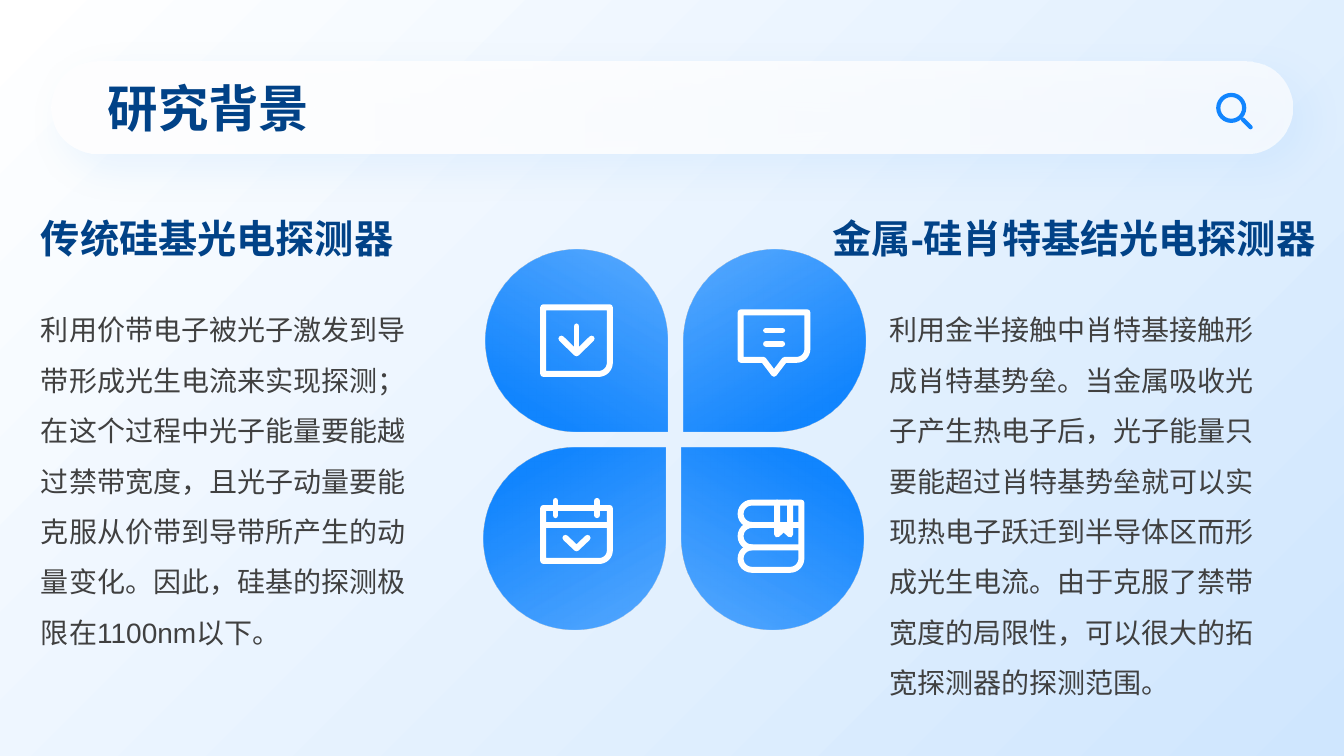
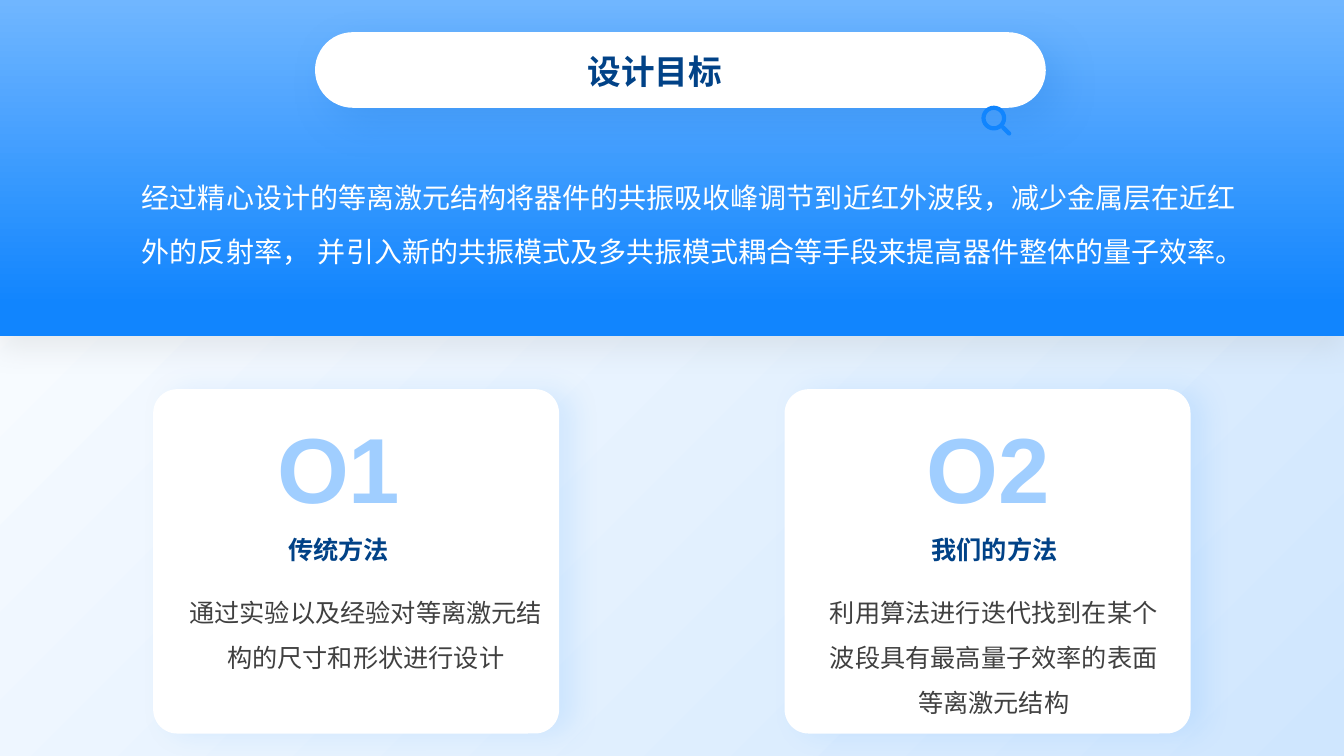
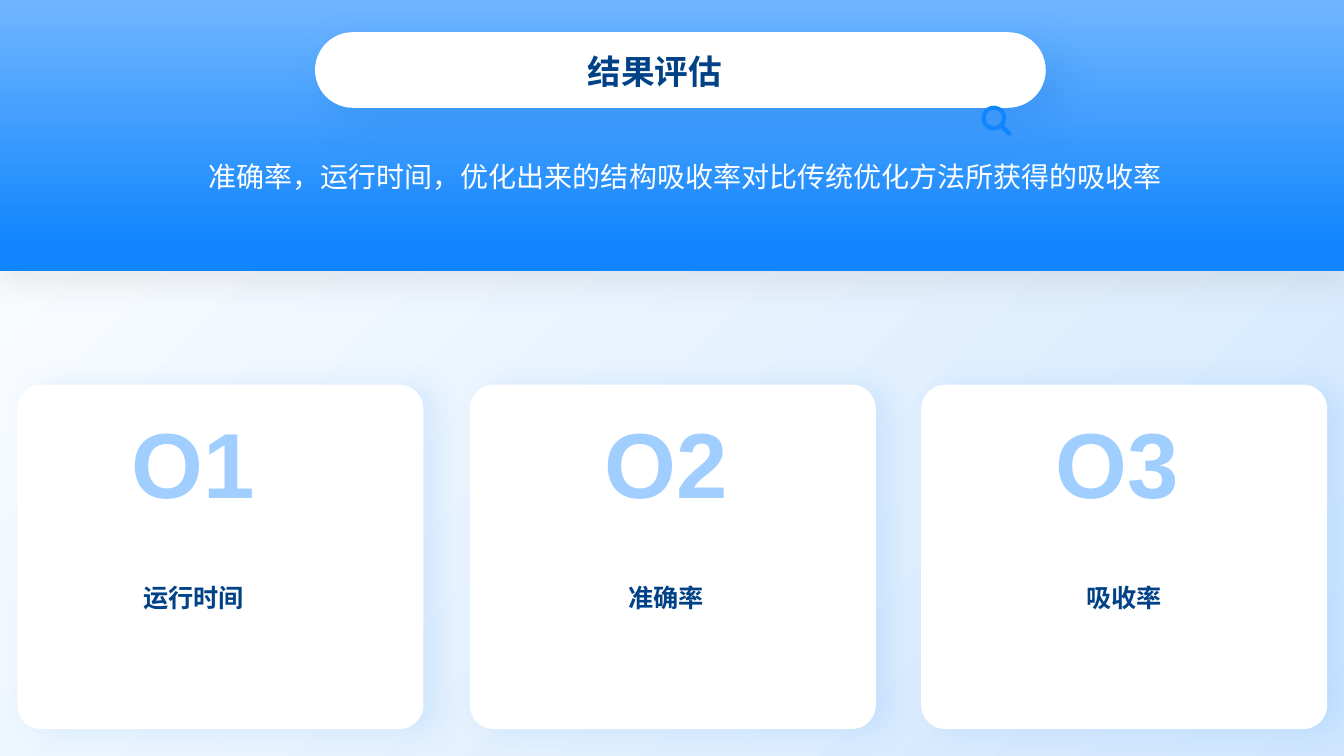
from dataclasses import dataclass
from math import cos, radians, sin

from lxml.etree import SubElement
from pptx import Presentation
from pptx.dml.color import RGBColor
from pptx.enum.lang import MSO_LANGUAGE_ID
from pptx.enum.shapes import MSO_CONNECTOR, MSO_SHAPE
from pptx.enum.text import MSO_ANCHOR, PP_ALIGN
from pptx.oxml.ns import qn
from pptx.util import Pt

# Shared look
PAGE_WIDTH, PAGE_HEIGHT = 960, 540
FONT = "Arial"
BLUE = RGBColor(0x11, 0x85, 0xFE)
NAVY = RGBColor(0x01, 0x42, 0x87)
DEEP_BLUE = RGBColor(0x01, 0x63, 0xCA)
SKY = RGBColor(0x70, 0xB6, 0xFF)
PALE = RGBColor(0xCF, 0xE6, 0xFE)
NUMBER_BLUE = RGBColor(0xA0, 0xCE, 0xFF)
NUMBER_PALE = RGBColor(0xCF, 0xE7, 0xFF)
WHITE = RGBColor(0xFF, 0xFF, 0xFF)
TEXT_GRAY = RGBColor(0x40, 0x40, 0x40)
SHADOW_GRAY = RGBColor(0xA6, 0xA6, 0xA6)

LEFT, CENTER = PP_ALIGN.LEFT, PP_ALIGN.CENTER
TOP, MIDDLE = MSO_ANCHOR.TOP, MSO_ANCHOR.MIDDLE
RECTANGLE, ROUNDED = MSO_SHAPE.RECTANGLE, MSO_SHAPE.ROUNDED_RECTANGLE
TEARDROP, OVAL = MSO_SHAPE.TEAR, MSO_SHAPE.OVAL
STRAIGHT = MSO_CONNECTOR.STRAIGHT
CHINESE = MSO_LANGUAGE_ID.SIMPLIFIED_CHINESE

Point = tuple[float, float]


@dataclass(frozen=True)
class Stop:
    position: int
    color: RGBColor
    alpha: int = 100


@dataclass(frozen=True)
class Shadow:
    color: RGBColor
    alpha: int
    blur: float
    distance: float
    angle: int


@dataclass(frozen=True)
class TextStyle:
    size: float
    color: RGBColor
    bold: bool = False
    align: PP_ALIGN = LEFT
    anchor: MSO_ANCHOR = TOP
    spacing: float = 1.0
    wrap: bool = True


@dataclass(frozen=True)
class Contour:
    points: list[Point]
    closed: bool = False


@dataclass(frozen=True)
class Petal:
    left: float
    top: float
    flips: tuple[str, ...]
    icon_left: float
    icon_top: float
    icon: list[Contour]


@dataclass(frozen=True)
class Column:
    heading: str
    heading_left: float
    heading_width: float
    body: str
    body_left: float


@dataclass(frozen=True)
class Card:
    number: str
    title: str
    left: float
    number_center: float
    title_center: float
    body: str = ""
    body_left: float = 0
    body_width: float = 0


PAGE_STOPS = [Stop(0, WHITE), Stop(100, PALE)]
PETAL_STOPS = [Stop(0, BLUE, 66), Stop(84, BLUE)]
BAR_STOPS = [Stop(0, WHITE, 72), Stop(100, WHITE)]
BAND_STOPS = [Stop(9, BLUE), Stop(100, SKY)]
NUMBER_STOPS = [Stop(0, BLUE), Stop(74, NUMBER_BLUE), Stop(83, NUMBER_BLUE),
                Stop(100, NUMBER_PALE)]

BAR_SHADOW = Shadow(BLUE, 7, 29, 13, 45)
PILL_SHADOW = Shadow(DEEP_BLUE, 16, 29, 13, 45)
BAND_SHADOW = Shadow(SHADOW_GRAY, 20, 20, 10, 90)
CARD_SHADOW = Shadow(BLUE, 10, 20, 10, 0)

BAR_TITLE = TextStyle(36, NAVY, bold=True, anchor=MIDDLE)
PILL_TITLE = TextStyle(24, NAVY, bold=True, align=CENTER, anchor=MIDDLE)
HEADING = TextStyle(28, NAVY, bold=True)
BODY = TextStyle(20, TEXT_GRAY, spacing=1.5)
LEAD = TextStyle(20, WHITE, spacing=1.6)
NUMBER = TextStyle(66, NUMBER_BLUE, bold=True, align=CENTER, wrap=False)
CARD_TITLE = TextStyle(18, NAVY, bold=True, align=CENTER, anchor=MIDDLE)
CARD_BODY = TextStyle(18, TEXT_GRAY, align=CENTER, spacing=1.5)


# Formatting helpers
def add_color(parent, color: RGBColor, alpha: int) -> None:
    node = SubElement(parent, qn("a:srgbClr"), val=str(color))
    if alpha < 100:
        SubElement(node, qn("a:alpha"), val=str(alpha * 1000))


def set_gradient(fill, holder, stops: list[Stop], angle: int) -> None:
    """Give fill, kept in the element holder, a gradient at a clockwise angle."""
    fill.gradient()
    fill.gradient_angle = 360 - angle
    stop_list = holder.find(qn("a:gradFill")).find(qn("a:gsLst"))
    stop_list.clear()
    for stop in stops:
        node = SubElement(stop_list, qn("a:gs"), pos=str(stop.position * 1000))
        add_color(node, stop.color, stop.alpha)


def set_shadow(shape, shadow: Shadow) -> None:
    effects = shape.element.spPr.find(qn("a:effectLst"))
    node = SubElement(effects, qn("a:outerShdw"), blurRad=str(Pt(shadow.blur)),
                      dist=str(Pt(shadow.distance)), dir=str(shadow.angle * 60000),
                      algn="ctr", rotWithShape="0")
    add_color(node, shadow.color, shadow.alpha)


def set_round_stroke(shape, color: RGBColor, width: float) -> None:
    shape.line.color.rgb = color
    shape.line.width = Pt(width)
    stroke = shape.element.spPr.find(qn("a:ln"))
    stroke.set("cap", "rnd")
    SubElement(stroke, qn("a:round"))


def add_panel(page, kind, left: float, top: float, width: float, height: float,
              shadow: Shadow | None = None, corner: float | None = None):
    """Add a white preset shape without outline."""
    panel = page.shapes.add_shape(kind, Pt(left), Pt(top), Pt(width), Pt(height))
    panel.shadow.inherit = False
    panel.fill.solid()
    panel.fill.fore_color.rgb = WHITE
    panel.line.fill.background()
    if corner is not None:
        panel.adjustments[0] = corner
    if shadow:
        set_shadow(panel, shadow)
    return panel


def add_text(page, text: str, left: float, top: float, width: float, height: float,
             style: TextStyle):
    box = page.shapes.add_textbox(Pt(left), Pt(top), Pt(width), Pt(height))
    frame = box.text_frame
    frame.word_wrap = style.wrap
    frame.vertical_anchor = style.anchor
    para = frame.paragraphs[0]
    para.text = text
    para.alignment = style.align
    para.line_spacing = style.spacing
    para.font.name = FONT
    para.font.size = Pt(style.size)
    para.font.bold = style.bold
    para.font.language_id = CHINESE
    para.font.color.rgb = style.color
    SubElement(para._p.pPr.find(qn("a:defRPr")), qn("a:ea"), typeface=FONT)
    return para


def add_search_icon(page, left: float, top: float, size: float) -> None:
    group = page.shapes.add_group_shape()
    lens = group.shapes.add_shape(OVAL, Pt(left), Pt(top), Pt(size), Pt(size))
    lens.shadow.inherit = False
    lens.fill.background()
    set_round_stroke(lens, BLUE, 3)
    handle = group.shapes.add_connector(
        STRAIGHT, Pt(left + size * 0.95), Pt(top + size * 0.95),
        Pt(left + size * 1.25), Pt(top + size * 1.25))
    set_round_stroke(handle, BLUE, 3)
    SubElement(handle.element.spPr, qn("a:effectLst"))


# Icons, in points from their own top left corner
def arc(x: float, y: float, radius: float, start: int, end: int) -> list[Point]:
    steps = 12
    angles = [radians(start + (end - start) * i / steps) for i in range(steps + 1)]
    return [(x + radius * cos(a), y + radius * sin(a)) for a in angles]


DOWNLOAD_ICON = [
    Contour([(2.1, 2.1), (49.7, 2.1), *arc(41.7, 41.7, 8, 0, 90), (2.1, 49.7)], True),
    Contour([(25.9, 15.8), (25.9, 34.5)]),
    Contour([(15.1, 24.5), (25.9, 35), (36.7, 24.5)]),
]
MESSAGE_ICON = [
    Contour([(2.1, 2.1), (49.7, 2.1), *arc(42.2, 28.5, 7.5, 0, 90), (33.5, 36),
             (25.9, 46), (18.3, 36), (2.1, 36)], True),
    Contour([(20.2, 15.1), (31.7, 15.1)]),
    Contour([(20.2, 24.5), (31.7, 24.5)]),
]
CALENDAR_ICON = [
    Contour([(2.1, 7.2), (49.7, 7.2), *arc(42.2, 37.5, 7.5, 0, 90), (2.1, 45)], True),
    Contour([(2.1, 19), (49.7, 19)]),
    Contour([(10.9, 2.1), (10.9, 12.3)]),
    Contour([(40.5, 2.1), (40.5, 12.3)]),
    Contour([(18, 28.5), (25.9, 36), (33.8, 28.5)]),
]
BOOKS_ICON = [
    Contour([(45.4, 18), *arc(10, 10, 8, 90, 270), (45.4, 2),
             *arc(37.4, 42, 8, 0, 90), *arc(10, 42, 8, 90, 270), (45.4, 34)]),
    Contour([*arc(10, 26, 8, 270, 90)]),
    Contour([(28.1, 2), (28.1, 24.8), (32.8, 20.5), (37.4, 24.8), (37.4, 2)]),
]


def add_icon(page, left: float, top: float, icon: list[Contour]) -> None:
    units = 100
    outline = None
    for contour in icon:
        first, *rest = [(round(x * units), round(y * units)) for x, y in contour.points]
        if outline is None:
            outline = page.shapes.build_freeform(*first, scale=Pt(1) / units)
        else:
            outline.move_to(*first)
        outline.add_line_segments(rest, close=contour.closed)
    shape = outline.convert_to_shape(Pt(left), Pt(top))
    shape.shadow.inherit = False
    shape.fill.background()
    set_round_stroke(shape, WHITE, 4.25)


# Page parts
def add_page(deck):
    page = deck.slides.add_slide(deck.slide_layouts[6])
    fill = page.background.fill
    set_gradient(fill, page.element.find(f".//{qn('p:bgPr')}"), PAGE_STOPS, 45)
    return page


def add_petal(page, petal: Petal) -> None:
    drop = add_panel(page, TEARDROP, petal.left, petal.top, 130, 130)
    set_gradient(drop.fill, drop.element.spPr, PETAL_STOPS, 240)
    for flip in petal.flips:
        drop.element.spPr.xfrm.set(flip, "1")
    add_icon(page, petal.icon_left, petal.icon_top, petal.icon)


def add_column(page, column: Column) -> None:
    add_text(page, column.heading, column.heading_left, 149.8, column.heading_width,
             41, HEADING)
    add_text(page, column.body, column.body_left, 208, 289.5, 296.6, BODY)


def add_band_header(page, title: str, band_height: float) -> None:
    band = add_panel(page, RECTANGLE, 0, 0, PAGE_WIDTH, band_height, BAND_SHADOW)
    set_gradient(band.fill, band.element.spPr, BAND_STOPS, 270)
    add_panel(page, ROUNDED, 225, 23, 522, 54, PILL_SHADOW, 0.5)
    add_search_icon(page, 702.5, 77, 14.7)
    add_text(page, title, 257.8, 23.8, 419.8, 53.3, PILL_TITLE)


def add_card(page, card: Card, top: float, title_top: float) -> None:
    number_width, title_width = 104, 160
    add_panel(page, ROUNDED, card.left, top, 290, 246, CARD_SHADOW, 0.07)
    number = add_text(page, card.number, card.number_center - number_width / 2,
                      top + 12, number_width, 87, NUMBER)
    set_gradient(number.font.fill, number._p.pPr.find(qn("a:defRPr")), NUMBER_STOPS, 90)
    add_text(page, card.title, card.title_center - title_width / 2, title_top,
             title_width, 37.5, CARD_TITLE)
    if card.body:
        add_text(page, card.body, card.body_left, 412, card.body_width, 63, CARD_BODY)


# Content
PETALS = [
    Petal(345.6, 319.5, (), 385.9, 355.7, CALENDAR_ICON),
    Petal(487, 319.5, ("flipH",), 527, 357, BOOKS_ICON),
    Petal(346.8, 178.3, ("flipV",), 385.9, 217.4, DOWNLOAD_ICON),
    Petal(488, 178.3, ("flipH", "flipV"), 527, 221, MESSAGE_ICON),
]
COLUMNS = [
    Column("传统硅基光电探测器", 22.2, 345.6,
           "利用价带电子被光子激发到导带形成光生电流来实现探测；在这个过程中光子能量要能越过"
           "禁带宽度，且光子动量要能克服从价带到导带所产生的动量变化。因此，硅基的探测极限在"
           "1100nm以下。", 22.2),
    Column("金属-硅肖特基结光电探测器", 587.6, 410.4,
           "利用金半接触中肖特基接触形成肖特基势垒。当金属吸收光子产生热电子后，光子能量只要"
           "能超过肖特基势垒就可以实现热电子跃迁到半导体区而形成光生电流。由于克服了禁带宽度"
           "的局限性，可以很大的拓宽探测器的探测范围。", 628),
]
METHOD_CARDS = [
    Card("O1", "传统方法", 109.4, 241.9, 241.9,
         "通过实验以及经验对等离激元结构的尺寸和形状进行设计", 123, 276.5),
    Card("O2", "我们的方法", 560.4, 705.6, 710.4,
         "利用算法进行迭代找到在某个波段具有最高量子效率的表面等离激元结构", 583, 253.5),
]
RESULT_CARDS = [
    Card("O1", "运行时间", 12.4, 138.2, 138.2),
    Card("O2", "准确率", 335.6, 475.9, 475.9),
    Card("O3", "吸收率", 658, 797.8, 802.8),
]


def add_background_page(deck) -> None:
    page = add_page(deck)
    for petal in PETALS:
        add_petal(page, petal)
    bar = add_panel(page, ROUNDED, 37, 43.8, 886.5, 66, BAR_SHADOW, 0.5)
    set_gradient(bar.fill, bar.element.spPr, BAR_STOPS, 180)
    add_search_icon(page, 870.2, 67.8, 18.5)
    add_text(page, "研究背景", 69.8, 44.6, 766, 64.8, BAR_TITLE)
    for column in COLUMNS:
        add_column(page, column)


def add_goal_page(deck) -> None:
    page = add_page(deck)
    add_band_header(page, "设计目标", 240)
    add_text(page, "经过精心设计的等离激元结构将器件的共振吸收峰调节到近红外波段，减少金属层在近红外的"
             "反射率， 并引入新的共振模式及多共振模式耦合等手段来提高器件整体的量子效率。",
             94.3, 110.9, 806.4, 133.2, LEAD)
    for card in METHOD_CARDS:
        add_card(page, card, 278, 373.8)


def add_result_page(deck) -> None:
    page = add_page(deck)
    add_band_header(page, "结果评估", 193.5)
    add_text(page, "准确率，运行时间，优化出来的结构吸收率对比传统优化方法所获得的吸收率",
             141.8, 95.8, 806.4, 63.4, LEAD)
    for card in RESULT_CARDS:
        add_card(page, card, 274.8, 408.3)


def main() -> None:
    deck = Presentation()
    deck.slide_width, deck.slide_height = Pt(PAGE_WIDTH), Pt(PAGE_HEIGHT)
    add_background_page(deck)
    add_goal_page(deck)
    add_result_page(deck)
    deck.save("out.pptx")


if __name__ == "__main__":
    main()
